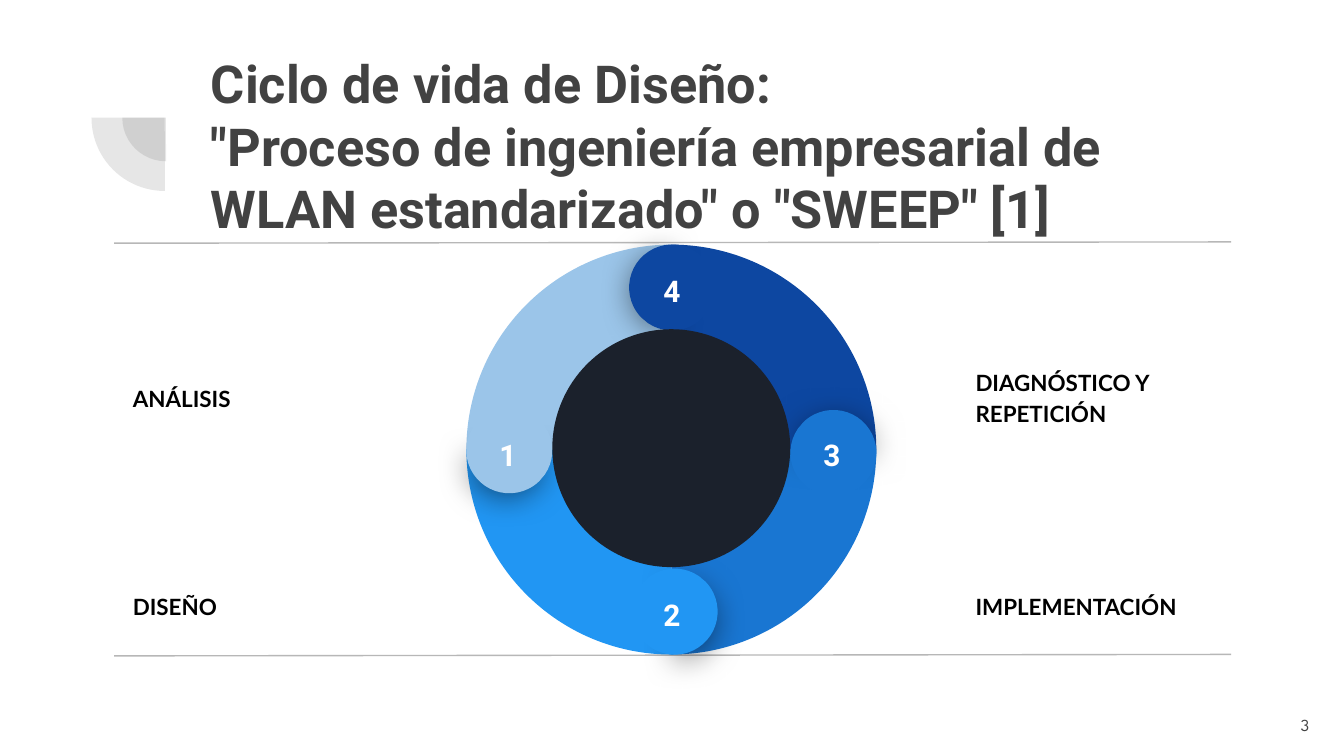
from dataclasses import dataclass
from typing import Any

from lxml.etree import SubElement
from pptx import Presentation
from pptx.dml.color import RGBColor
from pptx.enum.shapes import MSO_CONNECTOR, MSO_SHAPE
from pptx.enum.text import MSO_ANCHOR, MSO_AUTO_SIZE, PP_ALIGN
from pptx.oxml.ns import qn
from pptx.util import Pt

Point = tuple[float, float]

GREY = "424242"
RING_AT, RING_SIZE = (249.84, 131.04), 219.6
HOLE_AT, HOLE_SIZE = (295.92, 176.4), 127.44
CAP_SIZE, CAP_SHADE_SIZE = 46.1, 41
QUARTER = (107.957, 162.013)
CAP_ARC = (25.006, 18.12)
LEFT_LABELS, RIGHT_LABELS = 64.1, 515.5
UPPER_LABELS, LOWER_LABELS = 185, 296.6


@dataclass
class Step:
    label: str
    label_at: Point
    colour: str
    shade_at: Point
    cap_at: Point
    number_at: Point
    shade_arc: Point = (189.535, 83.81)


STEPS = [
    Step("ANÁLISIS", (LEFT_LABELS, UPPER_LABELS), "9BC5E9",
         (250.6, 221), (249.8, 218.2), (252, 226.8)),
    Step("DISEÑO", (LEFT_LABELS, LOWER_LABELS), "2196F3",
         (341.3, 308.2), (338.4, 304.6), (339.8, 312.5)),
    Step("IMPLEMENTACIÓN", (RIGHT_LABELS, LOWER_LABELS), "1976D2",
         (427, 221), (423.4, 219.6), (425.5, 226.8), (196.87, 77.71)),
    Step("DIAGNÓSTICO Y REPETICIÓN", (RIGHT_LABELS, UPPER_LABELS), "0D47A1",
         (338.4, 131.8), (337, 131), (339.8, 139)),
]

TITLE_FONT = {"name": "Roboto", "size": Pt(28), "bold": True}
LABEL_FONT = {"name": "Lato", "size": Pt(12), "bold": True}
NUMBER_FONT = {"name": "Roboto", "size": Pt(16), "bold": True}
PAGE_FONT = {"name": "League Spartan", "size": Pt(9), "bold": False}


def colour(hex_code: str) -> RGBColor:
    return RGBColor.from_string(hex_code)


def apply(target: Any, values: dict[str, Any]) -> None:
    for key, value in values.items():
        setattr(target, key, value)


def write(holder: Any, lines: list[str], font: dict[str, Any], ink: str,
          anchor: MSO_ANCHOR, layout: dict[str, Any]) -> None:
    frame = holder.text_frame
    margins = {f"margin_{side}": Pt(7.2) for side in ("left", "top", "right", "bottom")}
    apply(frame, {"word_wrap": True, "auto_size": MSO_AUTO_SIZE.NONE,
                  "vertical_anchor": anchor, **margins})
    frame.text = "\n".join(lines)
    for paragraph in frame.paragraphs:
        apply(paragraph, layout)
        for run in paragraph.runs:
            apply(run.font, font)
            run.font.color.rgb = colour(ink)


def add_text(shapes: Any, at: Point, size: Point, text: str, font: dict[str, Any],
             ink: str, anchor: MSO_ANCHOR, layout: dict[str, Any]) -> None:
    box = shapes.add_textbox(*map(Pt, (*at, *size)))
    write(box, [text], font, ink, anchor, layout)


def add_round(shapes: Any, preset: MSO_SHAPE, at: Point, size: float, fill: str,
              turn: float = 0, arc: tuple[float, ...] = ()) -> Any:
    shape = shapes.add_shape(preset, *map(Pt, (*at, size, size)))
    for index, angle in enumerate(arc):
        shape.adjustments[index] = angle
    shape.rotation = turn % 360
    shape.shadow.inherit = False
    shape.fill.solid()
    shape.fill.fore_color.rgb = colour(fill)
    shape.line.fill.background()
    return shape


def set_alpha(shape: Any, percent: int) -> None:
    tint = shape.element.spPr.find(qn("a:solidFill")).find(qn("a:srgbClr"))
    SubElement(tint, qn("a:alpha"), val=str(percent * 1000))


def cast_shadow(shape: Any) -> None:
    effects = shape.element.spPr.find(qn("a:effectLst"))
    shadow = SubElement(effects, qn("a:outerShdw"), blurRad=str(Pt(18)),
                        dist=str(Pt(4)), dir="5400000", algn="ctr", rotWithShape="0")
    tint = SubElement(shadow, qn("a:srgbClr"), val="000000")
    SubElement(tint, qn("a:alpha"), val="55000")


def add_rule(shapes: Any, start: Point, end: Point) -> None:
    rule = shapes.add_connector(MSO_CONNECTOR.STRAIGHT, *map(Pt, (*start, *end)))
    rule.line.color.rgb = colour("B7B7B7")
    rule.line.width = Pt(0.75)
    SubElement(rule.element.spPr, qn("a:effectLst"))


def main() -> None:
    deck = Presentation()
    apply(deck, {"slide_width": Pt(720), "slide_height": Pt(405)})
    slide = deck.slides.add_slide(deck.slide_layouts[5])
    shapes = slide.shapes

    title = shapes.title
    apply(title, {"left": Pt(105.8), "top": Pt(20.2),
                  "width": Pt(553.7), "height": Pt(100.1)})
    write(title, ["Ciclo de vida de Diseño:",
                  '"Proceso de ingeniería empresarial de WLAN estandarizado" o "SWEEP" [1]'],
          TITLE_FONT, GREY, MSO_ANCHOR.TOP,
          {"alignment": PP_ALIGN.LEFT, "space_before": Pt(0)})

    ornament = shapes.add_group_shape().shapes
    for at, size in (((65.5, 39.6), 46.8), ((49, 23.8), 78.5)):
        set_alpha(add_round(ornament, MSO_SHAPE.PIE, at, size, GREY, 270, (107.928, 162)), 13)

    for step in STEPS:
        add_text(shapes, step.label_at, (157, 54.7), step.label, LABEL_FONT, "000000",
                 MSO_ANCHOR.MIDDLE, {"line_spacing": 1.15, "space_after": Pt(16)})

    for right_y, left_y in ((129.6, 130.3), (350.6, 351.4)):
        add_rule(shapes, (659.5, right_y), (61.2, left_y))

    for index, step in enumerate(STEPS):
        add_round(shapes, MSO_SHAPE.PIE, RING_AT, RING_SIZE, step.colour,
                  -90 * index, QUARTER)

    for index, step in enumerate(STEPS):
        turn = -90 * index
        cap = shapes.add_group_shape().shapes
        cast_shadow(add_round(cap, MSO_SHAPE.PIE, step.shade_at, CAP_SHADE_SIZE,
                              step.colour, turn + 39.5, step.shade_arc))
        add_round(cap, MSO_SHAPE.CHORD, step.cap_at, CAP_SIZE, step.colour,
                  turn + 4.1, CAP_ARC)
        add_text(shapes, step.number_at, (40.3, 20.9), str(index + 1), NUMBER_FONT,
                 "FFFFFF", MSO_ANCHOR.TOP, {"alignment": PP_ALIGN.CENTER})

    add_round(shapes, MSO_SHAPE.OVAL, HOLE_AT, HOLE_SIZE, "1B212C")
    add_text(shapes, (665.3, 373), (43.2, 31), "3", PAGE_FONT, GREY,
             MSO_ANCHOR.MIDDLE, {"alignment": PP_ALIGN.RIGHT})

    deck.save("out.pptx")


if __name__ == "__main__":
    main()
